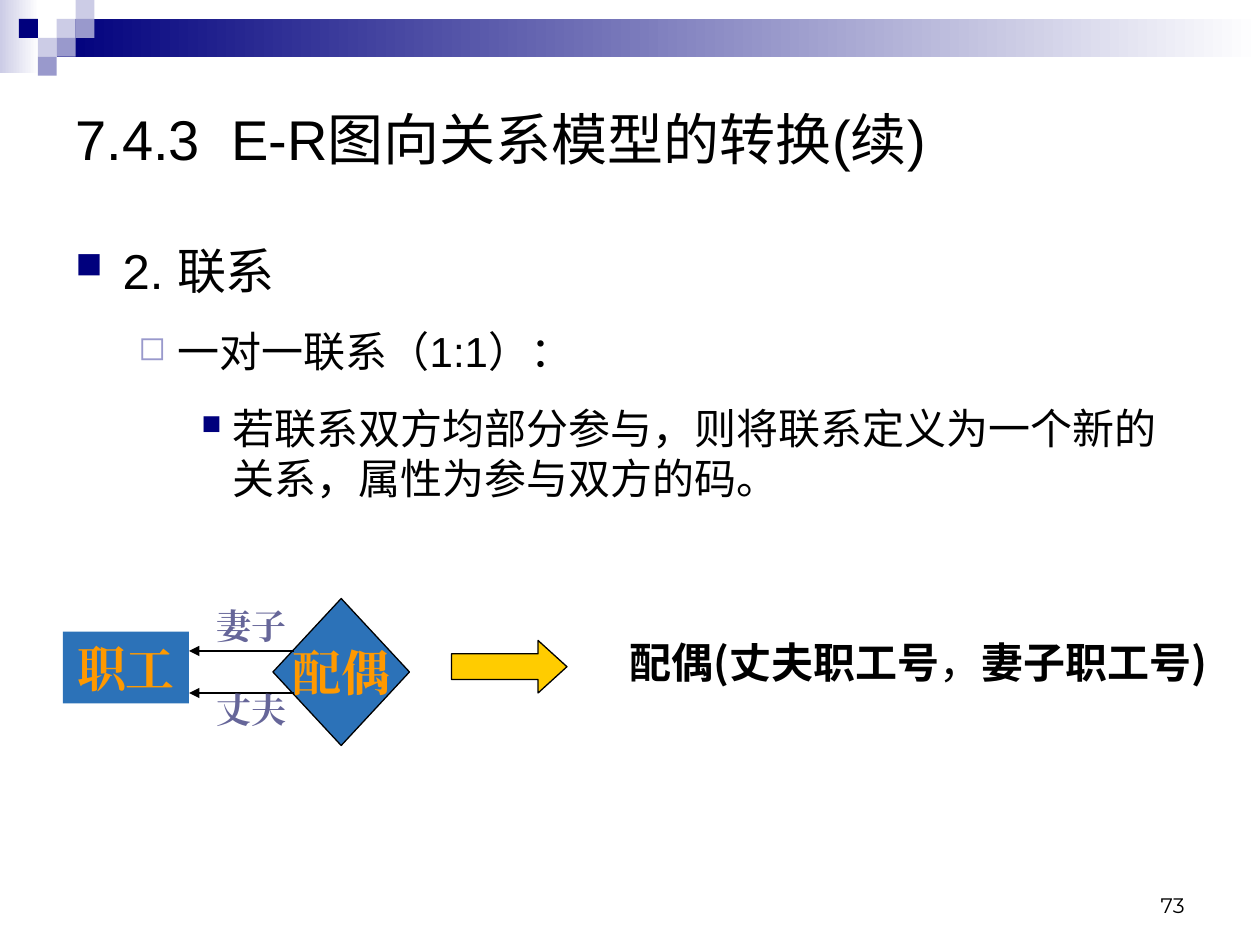
from pptx import Presentation
from pptx import util as u
from pptx.dml.color import RGBColor
from pptx.enum import shapes, text
from pptx.oxml.ns import qn
from lxml import etree

HUES = {"navy": "00007D", "pale": "CCCCE6", "mid": "9999CC", "white": "FFFFFF",
        "black": "000000", "blue": "2C72B8", "gold": "FF9900",
        "slate": "666699", "amber": "FFCC00"}
KIND = shapes.MSO_SHAPE
ALIGN = text.PP_ALIGN
MID = text.MSO_ANCHOR.MIDDLE


def hue(name):
    """Return the colour of that name."""
    return RGBColor.from_string(HUES[name])


def add(node, tag, **attrs):
    """Append a drawing element with its attributes."""
    item = etree.SubElement(node, qn(tag))
    for key, value in attrs.items():
        item.set(key, str(value))
    return item


class Deck:
    """Hold the style and the current slide."""

    def __init__(self, wide, high):
        """Start a deck with one blank slide."""
        self.show = Presentation()
        self.show.slide_width, self.show.slide_height = u.Pt(wide), u.Pt(high)
        self.page = self.show.slides.add_slide(self.show.slide_layouts[6])
        self.font = "Arial"
        self.line = 0.75

    def shape(self, kind, box, fill, edge=None, fade=False):
        """Draw a preset shape, plain or fading to white."""
        item = self.page.shapes.add_shape(kind, *map(u.Pt, box))
        item.shadow.inherit = False
        if fade:
            item.fill.gradient()
            item.fill.gradient_angle = 0
            for stop, name in zip(item.fill.gradient_stops, (fill, "white")):
                stop.color.rgb = hue(name)
        else:
            item.fill.solid()
            item.fill.fore_color.rgb = hue(fill)
        if edge:
            item.line.color.rgb = hue(edge)
            item.line.width = u.Pt(self.line)
        else:
            item.line.fill.background()
        return item

    def frame(self, item, **form):
        """Set the frame of a shape or box."""
        for key, value in {"word_wrap": True, **form}.items():
            setattr(item.text_frame, key, value)
        return item.text_frame

    def box(self, box, **form):
        """Add an empty text box."""
        return self.frame(self.page.shapes.add_textbox(*map(u.Pt, box)), **form)

    def para(self, frame, words, size, color="black", font=None, bold=False,
             indent=None, mark=None, tab=None, **form):
        """Fill the first paragraph, or add one below."""
        para = frame.paragraphs[0]
        if para.runs:
            para = frame.add_paragraph()
        for key, value in form.items():
            setattr(para, key, value)
        props = para._p.get_or_add_pPr()
        if indent:
            for key, value in zip(("marL", "indent"), indent):
                props.set(key, str(u.Pt(value)))
        if mark:
            sign, shade, scale = mark
            add(add(props, "a:buClr"), "a:srgbClr", val=HUES[shade])
            add(props, "a:buSzPct", val=scale * 1000)
            add(props, "a:buChar", char=sign)
        if tab:
            add(add(props, "a:tabLst"), "a:tab", pos=u.Pt(tab), algn="l")
        parts = [(words, bold)] if isinstance(words, str) else words
        for part, heavy in parts:
            run = para.add_run()
            run.text = part
            style = {"size": u.Pt(size), "name": font or self.font, "bold": heavy}
            for key, value in style.items():
                setattr(run.font, key, value)
            run.font.color.rgb = hue(color)
            add(run._r.get_or_add_rPr(), "a:ea", typeface=font or self.font)

    def arrow(self, start, end):
        """Draw a line whose arrowhead is at the end."""
        item = self.page.shapes.add_connector(
            shapes.MSO_CONNECTOR.STRAIGHT, *map(u.Pt, start + end))
        item.line.color.rgb = hue("black")
        item.line.width = u.Pt(self.line)
        add(item.line._get_or_add_ln(), "a:tailEnd", type="triangle")
        add(item._element.spPr, "a:effectLst")

    def save(self):
        """Write the deck."""
        self.show.save("out.pptx")


def banner(deck):
    """Draw the fading bar and its squares."""
    deck.shape(KIND.RECTANGLE, (0, 0, 22.3, 41.8), "pale", fade=True)
    deck.shape(KIND.RECTANGLE, (32.4, 10.8, 687.6, 21.6), "navy", fade=True)
    side = 10.8
    tiles = [(3, 1, "pale"), (4, 0, "pale"), (4, 1, "mid"), (2, 2, "pale"),
             (1, 1, "navy"), (3, 2, "mid"), (2, 3, "mid")]
    for col, row, shade in tiles:
        deck.shape(KIND.RECTANGLE, (col * side, row * side, side, side), shade)


def outline(deck):
    """Write the title, the points and the page number."""
    num = deck.box((516, 492, 168, 36), vertical_anchor=text.MSO_ANCHOR.BOTTOM)
    deck.para(num, "73", 12, font="Montserrat", alignment=ALIGN.RIGHT)
    title = deck.box((36, 46, 648, 65.5), vertical_anchor=MID)
    deck.para(title, "7.4.3\tE-R图向关系模型的转换(续)", 32, tab=89)
    body = deck.box((36, 134, 648, 164))
    points = [("2. 联系", 28, 0, (27, -27), ("■", "navy", 75)),
              ("一对一联系（1:1）：", 24, 1, (58.5, -22.5), ("◻", "mid", 80)),
              ("若联系双方均部分参与，则将联系定义为一个新的关系，属性为参与双方的码。",
               24, 2, (90, -18), ("■", "navy", 65))]
    for words, size, level, indent, mark in points:
        deck.para(body, words, size, indent=indent, mark=mark, level=level,
                  space_before=u.Pt(15 if level else 0))


def diagram(deck):
    """Draw the relationship and the relation it becomes."""
    serif = "Times New Roman"
    name = {"size": 28, "color": "gold", "font": serif, "bold": True,
            "alignment": ALIGN.CENTER}
    role = {**name, "size": 20, "color": "slate"}
    staff = deck.shape(KIND.RECTANGLE, (36, 361, 72, 41), "blue")
    deck.para(deck.frame(staff, vertical_anchor=MID), "职工", **name)
    spouse = deck.shape(KIND.DIAMOND, (156, 342, 78, 84), "blue", "black")
    deck.para(deck.frame(spouse, vertical_anchor=MID, word_wrap=False),
              "配偶", **name)
    for words, top, level in (("妻子", 342, 372), ("丈夫", 390, 396)):
        deck.arrow((168, level), (108, level))
        deck.para(deck.box((108, top, 72, 31.5)), words, **role)
    block = deck.shape(KIND.RIGHT_ARROW, (258, 366, 66, 30), "amber", "black")
    block.adjustments[0], block.adjustments[1] = 0.49, 0.55
    result = deck.box((312, 360, 390, 42))
    deck.para(result, [("配偶(丈夫职工号", True), ("，", False), ("妻子职工号)", True)],
              24, font="Noto Sans CJK SC", indent=(58.5, -22.5),
              alignment=ALIGN.CENTER)


def main():
    """Build the slide."""
    deck = Deck(720, 540)
    banner(deck)
    outline(deck)
    diagram(deck)
    deck.save()


if __name__ == "__main__":
    main()
